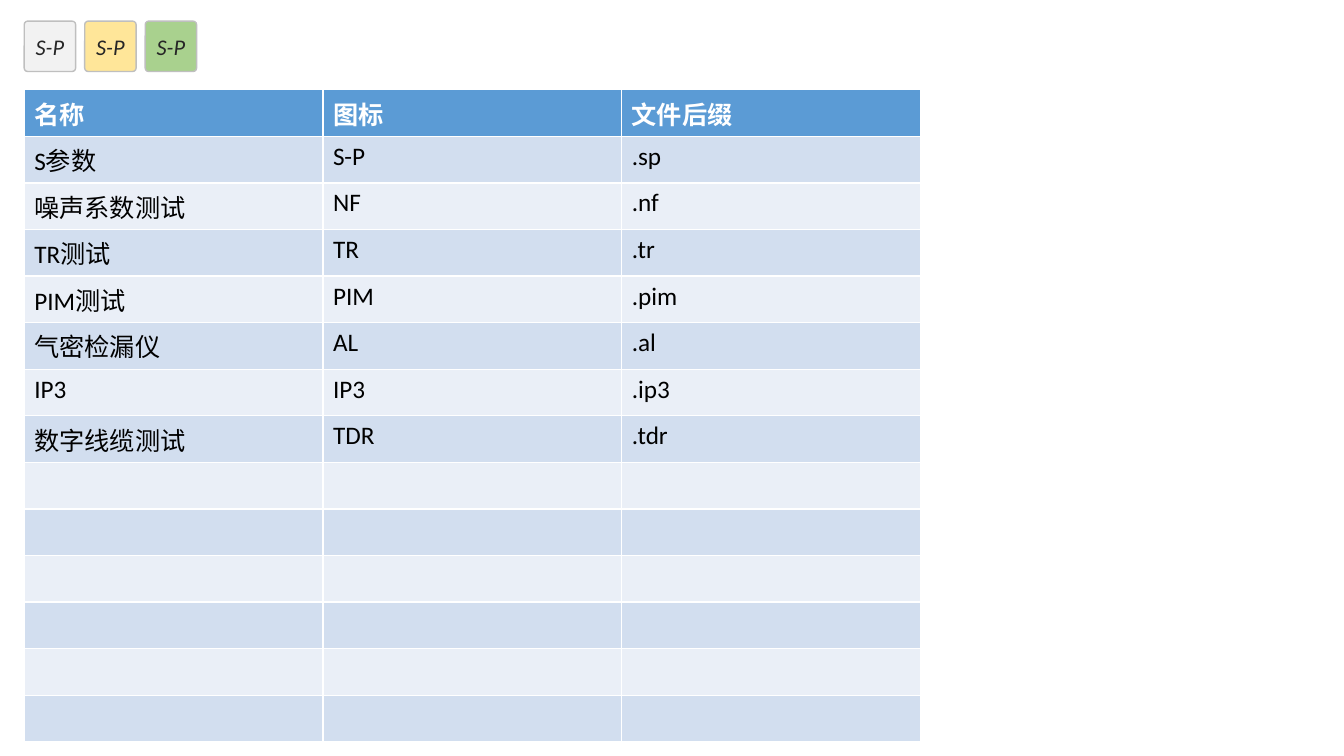
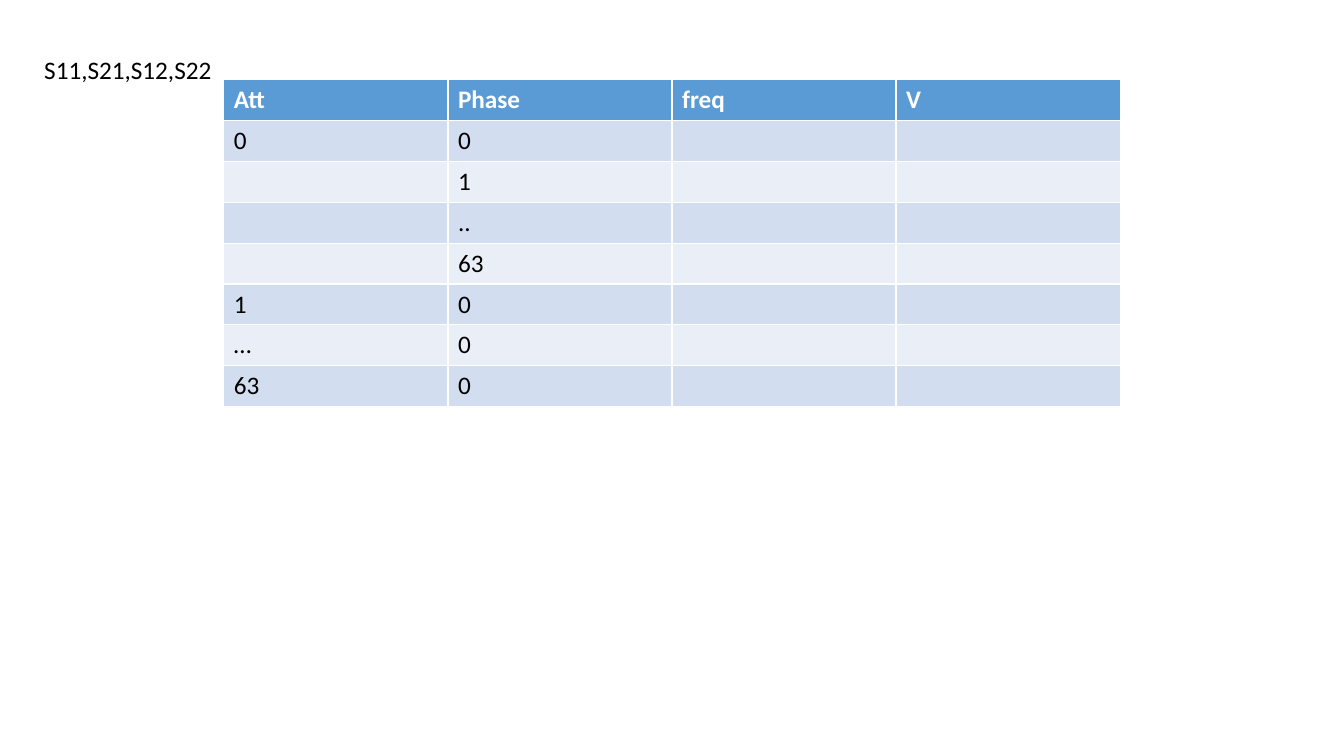
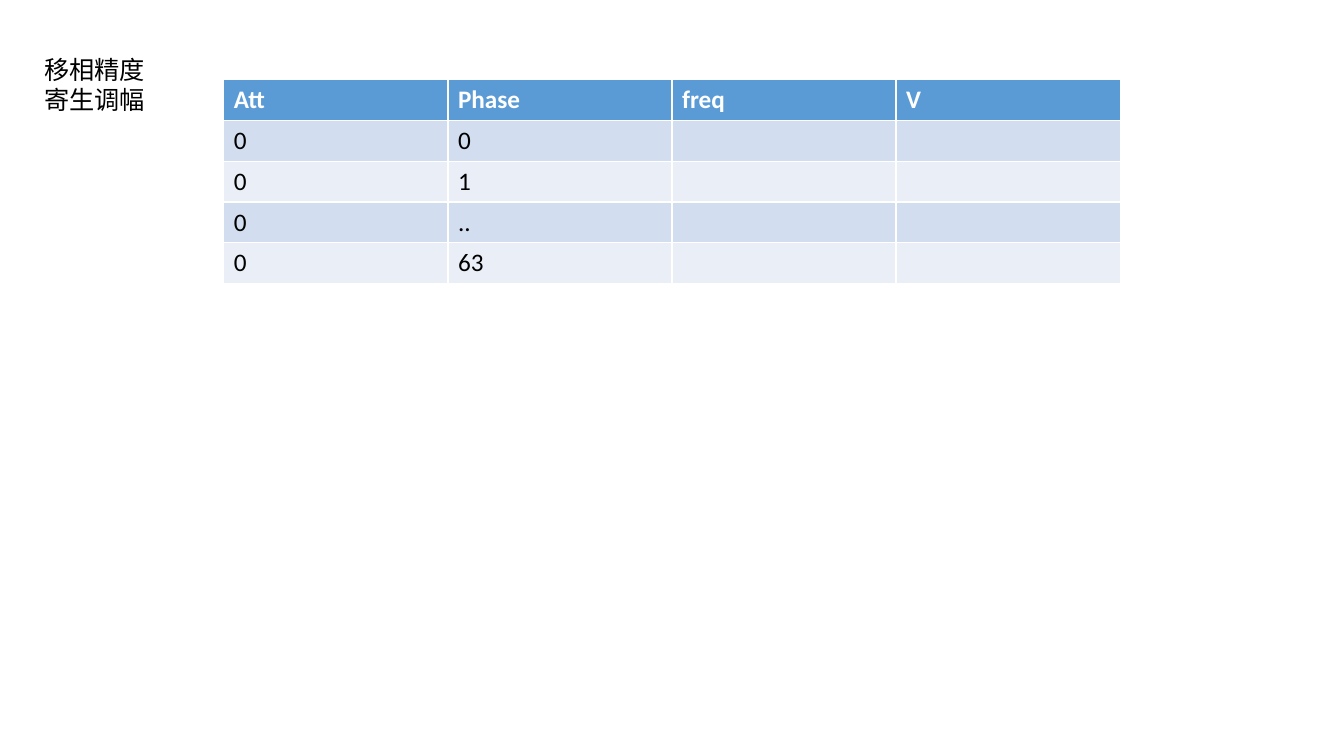
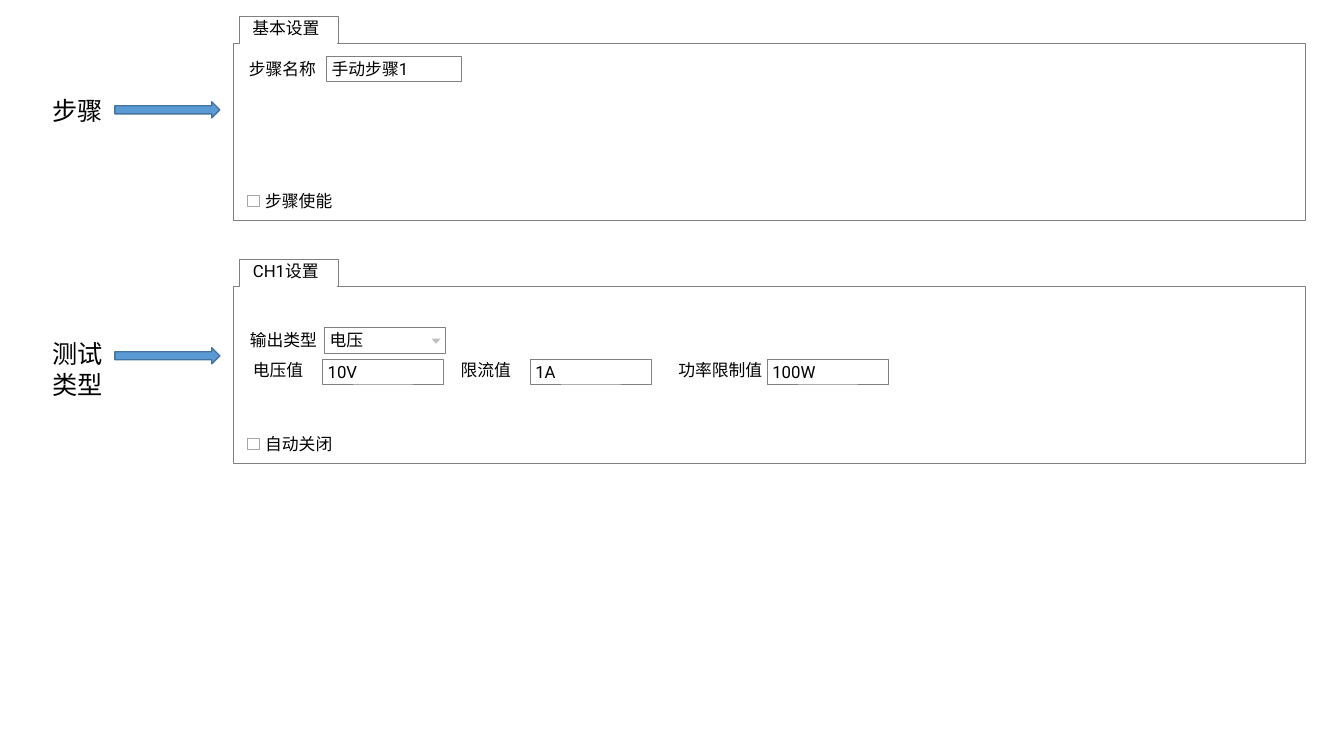
from dataclasses import dataclass

from lxml.etree import SubElement
from pptx import Presentation
from pptx.dml.color import RGBColor
from pptx.enum.shapes import MSO_CONNECTOR, MSO_SHAPE
from pptx.enum.text import MSO_ANCHOR, MSO_AUTO_SIZE, PP_ALIGN
from pptx.oxml.ns import qn
from pptx.util import Inches, Pt


def color(value):
    return RGBColor.from_string(value)


@dataclass(frozen=True)
class Theme:
    black: RGBColor = color("000000")
    white: RGBColor = color("FFFFFF")
    blue: RGBColor = color("5B9BD5")
    blue_edge: RGBColor = color("43739E")
    band_dark: RGBColor = color("D2DEEF")
    band_light: RGBColor = color("EAEFF7")
    icon_text: RGBColor = color("262626")
    icon_idle: RGBColor = color("F2F2F2")
    icon_busy: RGBColor = color("FFE699")
    icon_done: RGBColor = color("A9D18E")
    edge: RGBColor = color("808080")
    check_edge: RGBColor = color("A6A6A6")
    soft_gray: RGBColor = color("BFBFBF")
    font: str = "Calibri"
    form_font: str = "Roboto"
    body_size: Pt = Pt(18)
    icon_size: Pt = Pt(16)
    form_size: Pt = Pt(12)
    line: Pt = Pt(1)
    hairline: Pt = Pt(0.25)


THEME = Theme()
BODY = {"name": THEME.font, "size": THEME.body_size, "bold": False}
HEADER = BODY | {"bold": True}
ICON = {"name": THEME.font, "size": THEME.icon_size, "italic": True}
FORM = {"name": THEME.form_font, "size": THEME.form_size}

# Text insets: left, top, right, bottom
TEXT_INSETS = (0.1, 0.05, 0.1, 0.05)
LABEL_INSETS = (0.1, 0.02, 0.1, 0.03)
FIELD_INSETS = (0.05, 0.02, 0.05, 0.02)
CHECK_INSETS = (0.18, 0.02, 0.05, 0.03)
TAB_INSETS = (0, 0.02, 0.05, 0.05)

ROW_HEIGHT = 0.25
PANEL_LEFT = 2.31


def set_values(target, values):
    for name, value in values.items():
        setattr(target, name, value)


def write_text(frame, text, font, font_color=THEME.black, align=PP_ALIGN.LEFT):
    frame.text = text
    for paragraph in frame.paragraphs:
        paragraph.alignment = align
        set_values(paragraph.font, font)
        paragraph.font.color.rgb = font_color


def set_frame(frame, insets, anchor, wrap):
    sides = ("margin_left", "margin_top", "margin_right", "margin_bottom")
    set_values(frame, dict(zip(sides, map(Inches, insets))))
    set_values(frame, {"vertical_anchor": anchor, "word_wrap": wrap})


def add_box(slide, kind, place, fill, edge=None, width=THEME.hairline):
    shape = slide.shapes.add_shape(kind, *map(Inches, place))
    shape.shadow.inherit = False
    shape.fill.solid()
    shape.fill.fore_color.rgb = fill
    if edge is None:
        shape.line.fill.background()
    else:
        shape.line.color.rgb = edge
        shape.line.width = width
    return shape


def add_text(slide, place, text, font=BODY, insets=TEXT_INSETS,
             anchor=MSO_ANCHOR.TOP, wrap=False):
    frame = slide.shapes.add_textbox(*map(Inches, place)).text_frame
    set_frame(frame, insets, anchor, wrap)
    frame.auto_size = MSO_AUTO_SIZE.SHAPE_TO_FIT_TEXT
    write_text(frame, text, font)


def add_banded_table(slide, place, rows):
    table = slide.shapes.add_table(
        len(rows), len(rows[0]), *map(Inches, place)).table
    for row_index, values in enumerate(rows):
        if row_index == 0:
            fill, font, font_color = THEME.blue, HEADER, THEME.white
        else:
            fill = THEME.band_dark if row_index % 2 else THEME.band_light
            font, font_color = BODY, THEME.black
        for column, value in enumerate(values):
            cell = table.cell(row_index, column)
            cell.fill.solid()
            cell.fill.fore_color.rgb = fill
            write_text(cell.text_frame, value, font, font_color)


def add_icon(slide, left, fill):
    icon = add_box(slide, MSO_SHAPE.ROUNDED_RECTANGLE, (left, 0.21, 0.51, 0.5),
                   fill, THEME.soft_gray, THEME.line)
    icon.adjustments[0] = 0.07
    set_frame(icon.text_frame, TEXT_INSETS, MSO_ANCHOR.MIDDLE, True)
    write_text(icon.text_frame, "S-P", ICON, THEME.icon_text, PP_ALIGN.CENTER)


def add_panel(slide, top, title):
    """Add a framed panel with a tab that opens into it."""
    add_box(slide, MSO_SHAPE.RECTANGLE, (PANEL_LEFT, top, 10.64, 1.76),
            THEME.white, THEME.edge)
    tab = add_box(slide, MSO_SHAPE.RECTANGLE, (2.37, top - 0.27, 0.98, 0.27),
                  THEME.white, THEME.edge)
    set_frame(tab.text_frame, TAB_INSETS, MSO_ANCHOR.TOP, True)
    write_text(tab.text_frame, title, FORM, align=PP_ALIGN.CENTER)
    opening = slide.shapes.add_connector(
        MSO_CONNECTOR.STRAIGHT, *map(Inches, (2.38, top, 3.34, top)))
    opening.line.color.rgb = THEME.white
    opening.line.width = THEME.line
    SubElement(opening._element.spPr, qn("a:effectLst"))


def add_callout(slide, text, text_top, text_height, arrow_top):
    add_text(slide, (0.42, text_top, 0.73, text_height), text, wrap=True)
    add_box(slide, MSO_SHAPE.RIGHT_ARROW, (1.14, arrow_top, 1.04, 0.16),
            THEME.blue, THEME.blue_edge, THEME.line)


def add_field(slide, label, label_place, value, field_place):
    """Add a label and its input box; places are left, top, width."""
    add_text(slide, (*label_place, ROW_HEIGHT), label, FORM, LABEL_INSETS,
             MSO_ANCHOR.MIDDLE)
    field = add_box(slide, MSO_SHAPE.RECTANGLE, (*field_place, ROW_HEIGHT),
                    THEME.white, THEME.edge)
    set_frame(field.text_frame, FIELD_INSETS, MSO_ANCHOR.MIDDLE, False)
    write_text(field.text_frame, value, FORM)


def add_check_box(slide, top, label):
    add_text(slide, (2.45, top, 0.91, ROW_HEIGHT), label, FORM, CHECK_INSETS,
             MSO_ANCHOR.MIDDLE)
    add_box(slide, MSO_SHAPE.RECTANGLE, (2.45, top + 0.07, 0.12, 0.11),
            THEME.white, THEME.check_edge)


def build_file_types(slide):
    fills = (THEME.icon_idle, THEME.icon_busy, THEME.icon_done)
    for index, fill in enumerate(fills):
        add_icon(slide, 0.24 + index * 0.6, fill)
    rows = [
        ("名称", "图标", "文件后缀"),
        ("S参数", "S-P", ".sp"),
        ("噪声系数测试", "NF", ".nf"),
        ("TR测试", "TR", ".tr"),
        ("PIM测试", "PIM", ".pim"),
        ("气密检漏仪", "AL", ".al"),
        ("IP3", "IP3", ".ip3"),
        ("数字线缆测试", "TDR", ".tdr"),
    ]
    rows += [("", "", "")] * 6
    add_banded_table(slide, (0.24, 0.89, 8.89, 6.47), rows)


def build_sweep(slide, caption, caption_size, steps):
    rows = [("Att", "Phase", "freq", "V")]
    rows += [(attenuation, phase, "", "") for attenuation, phase in steps]
    add_banded_table(slide, (2.22, 0.79, 8.89, len(rows) * 0.405), rows)
    add_text(slide, (0.34, 0.49, *caption_size), caption)


def build_settings(slide):
    add_panel(slide, 0.43, "基本设置")
    add_callout(slide, "步骤", 0.9, 0.4, 1.01)
    add_field(slide, "步骤名称", (2.37, 0.56, 0.88),
              "手动步骤1", (3.24, 0.56, 1.33))
    add_check_box(slide, 1.87, "步骤使能")

    add_panel(slide, 2.84, "CH1设置")
    add_callout(slide, "测试类型", 3.31, 0.71, 3.45)
    add_check_box(slide, 4.28, "自动关闭")
    add_field(slide, "输出类型", (2.38, 3.25, 0.88),
              "电压", (3.22, 3.25, 1.2))
    drop_mark = add_box(slide, MSO_SHAPE.ISOSCELES_TRIANGLE,
                        (4.28, 3.36, 0.09, 0.05), THEME.soft_gray)
    drop_mark.rotation = 180
    limits = [
        ("电压值", 2.41, 0.71, "10V", 3.2),
        ("限流值", 4.47, 0.71, "1A", 5.26),
        ("功率限制值", 6.63, 1.04, "100W", 7.61),
    ]
    for label, label_left, label_width, value, field_left in limits:
        add_field(slide, label, (label_left, 3.55, label_width),
                  value, (field_left, 3.56, 1.2))


def main():
    presentation = Presentation()
    presentation.slide_width = Inches(13.33)
    presentation.slide_height = Inches(7.5)
    blank = presentation.slide_layouts[6]
    file_types, parameters, accuracy, settings = (
        presentation.slides.add_slide(blank) for _ in range(4))

    build_file_types(file_types)
    build_sweep(parameters, "S11,S21,S12,S22", (1.88, 0.4),
                [("0", "0"), ("", "1"), ("", ".."), ("", "63"),
                 ("1", "0"), ("…", "0"), ("63", "0")])
    build_sweep(accuracy, "移相精度\n寄生调幅", (1.21, 0.71),
                [("0", phase) for phase in ("0", "1", "..", "63")])
    build_settings(settings)
    presentation.save("out.pptx")


if __name__ == "__main__":
    main()
